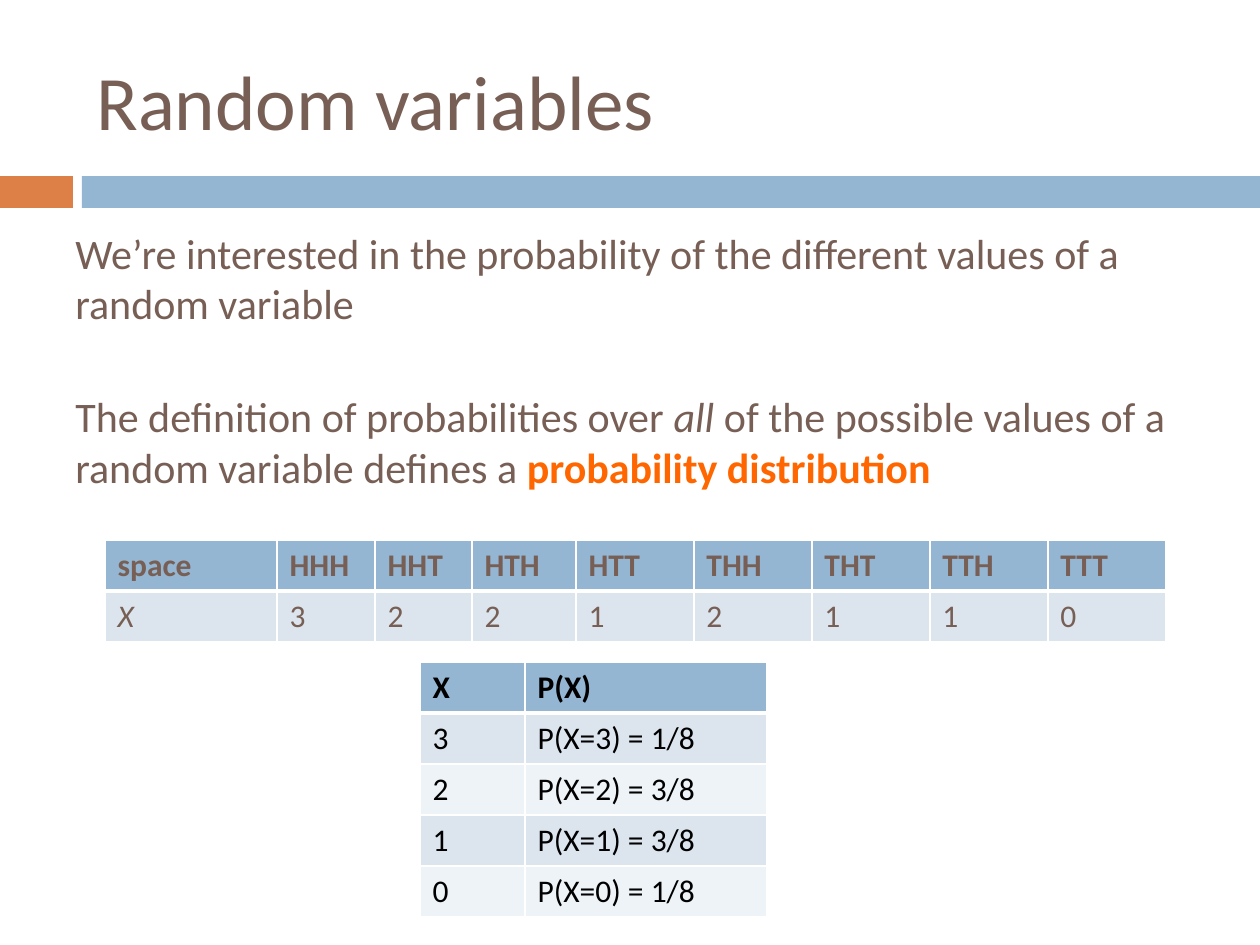
"""Build the slide on random variables and their probability distribution."""
from dataclasses import dataclass

from lxml import etree
from pptx import Presentation
from pptx import util as u
from pptx.dml.color import RGBColor
from pptx.enum import shapes, text
from pptx.oxml.ns import qn


@dataclass(frozen=True)
class Theme:
    """Colours, font and type sizes."""
    font: str = "Calibri"
    brown: str = "775F55"
    orange: str = "DD8047"
    blue: str = "94B6D2"
    accent: str = "FF6600"
    black: str = "000000"
    white: str = "FFFFFF"
    bands: tuple = ("DCE5EE", "EEF3F7")
    title: int = 44
    body: int = 24
    cell: int = 18


T = Theme()
ROW_H = 51


def px(n):
    """Turn pixels into EMU."""
    return u.Emu(round(n * 914400 / 126))


def style(font, size, color):
    """Set the typeface, size and colour of a font."""
    font.name, font.size = T.font, u.Pt(size)
    font.color.rgb = RGBColor.from_string(color)


def add_bar(slide, x, w, color):
    """Add one piece of the band under the title."""
    sp = slide.shapes.add_shape(shapes.MSO_SHAPE.RECTANGLE, px(x), px(176), px(w), px(32))
    sp.shadow.inherit = False
    sp.fill.solid()
    sp.fill.fore_color.rgb = RGBColor.from_string(color)
    sp.line.fill.background()


def add_text(slide, box, paragraphs, size, gap=0, anchor=text.MSO_ANCHOR.TOP):
    """Add a text box from paragraphs of (text, emphasis) runs."""
    tf = slide.shapes.add_textbox(*map(px, box)).text_frame
    tf.word_wrap, tf.vertical_anchor = True, anchor
    for i, runs in enumerate(paragraphs):
        p = tf.paragraphs[0] if i == 0 else tf.add_paragraph()
        p.space_before = u.Pt(gap if i else 0)
        style(p.font, size, T.brown)
        for words, emphasis in runs:
            r = p.add_run()
            r.text = words
            if emphasis == "italic":
                r.font.italic = True
            elif emphasis == "key":
                r.font.bold = True
                r.font.color.rgb = RGBColor.from_string(T.accent)


def set_borders(cell, top, bottom):
    """Draw white borders, with top and bottom widths in points."""
    tc_pr = cell._tc.get_or_add_tcPr()
    for side, width in (("L", 1), ("R", 1), ("T", top), ("B", bottom)):
        ln = etree.SubElement(tc_pr, qn(f"a:ln{side}"), w=str(u.Pt(width)))
        fill = etree.SubElement(ln, qn("a:solidFill"))
        etree.SubElement(fill, qn("a:srgbClr"), val=T.white)


def add_table(slide, x, y, widths, rows, color):
    """Add a table with a bold header row and banded body rows."""
    frame = slide.shapes.add_table(len(rows), len(widths), px(x), px(y),
                                   px(sum(widths)), px(ROW_H * len(rows)))
    table = frame.table
    for column, w in zip(table.columns, widths):
        column.width = px(w)
    for i, values in enumerate(rows):
        table.rows[i].height = px(ROW_H)
        for j, value in enumerate(values):
            cell = table.cell(i, j)
            set_borders(cell, 3 if i == 1 else 1, 3 if i == 0 else 1)
            cell.fill.solid()
            cell.fill.fore_color.rgb = RGBColor.from_string(T.bands[(i - 1) % 2] if i else T.blue)
            cell.text = value
            font = cell.text_frame.paragraphs[0].font
            style(font, T.cell, color)
            font.bold = i == 0
    return table


def main():
    """Build and save the slide."""
    prs = Presentation()
    prs.slide_width, prs.slide_height = px(1260), px(945)
    slide = prs.slides.add_slide(prs.slide_layouts[6])

    add_bar(slide, 0, 73, T.orange)
    add_bar(slide, 82, 1178, T.blue)
    add_text(slide, (84, 32, 1124, 136), [[("Random variables", "")]], T.title,
             anchor=text.MSO_ANCHOR.MIDDLE)
    add_text(slide, (63, 221, 1134, 315), [
        [("We’re interested in the probability of the different values of a random variable", "")],
        [("The definition of probabilities over ", ""), ("all", "italic"),
         (" of the possible values of a random variable defines a ", ""),
         ("probability distribution", "key")],
    ], T.body, gap=36)

    outcomes = ["HHH", "HHT", "HTH", "HTT", "THH", "THT", "TTH", "TTT"]
    heads = [str(outcome.count("H")) for outcome in outcomes]
    space = add_table(slide, 105, 540, [172, 98, 97, 104] + [118] * 5,
                      [["space"] + outcomes, ["X"] + heads], T.brown)
    space.cell(1, 0).text_frame.paragraphs[0].font.italic = True

    chances = [[x, f"P(X={x}) = {heads.count(x)}/{len(heads)}"] for x in "3210"]
    add_table(slide, 420, 662, [105, 242], [["X", "P(X)"]] + chances, T.black)

    prs.save("out.pptx")


if __name__ == "__main__":
    main()
